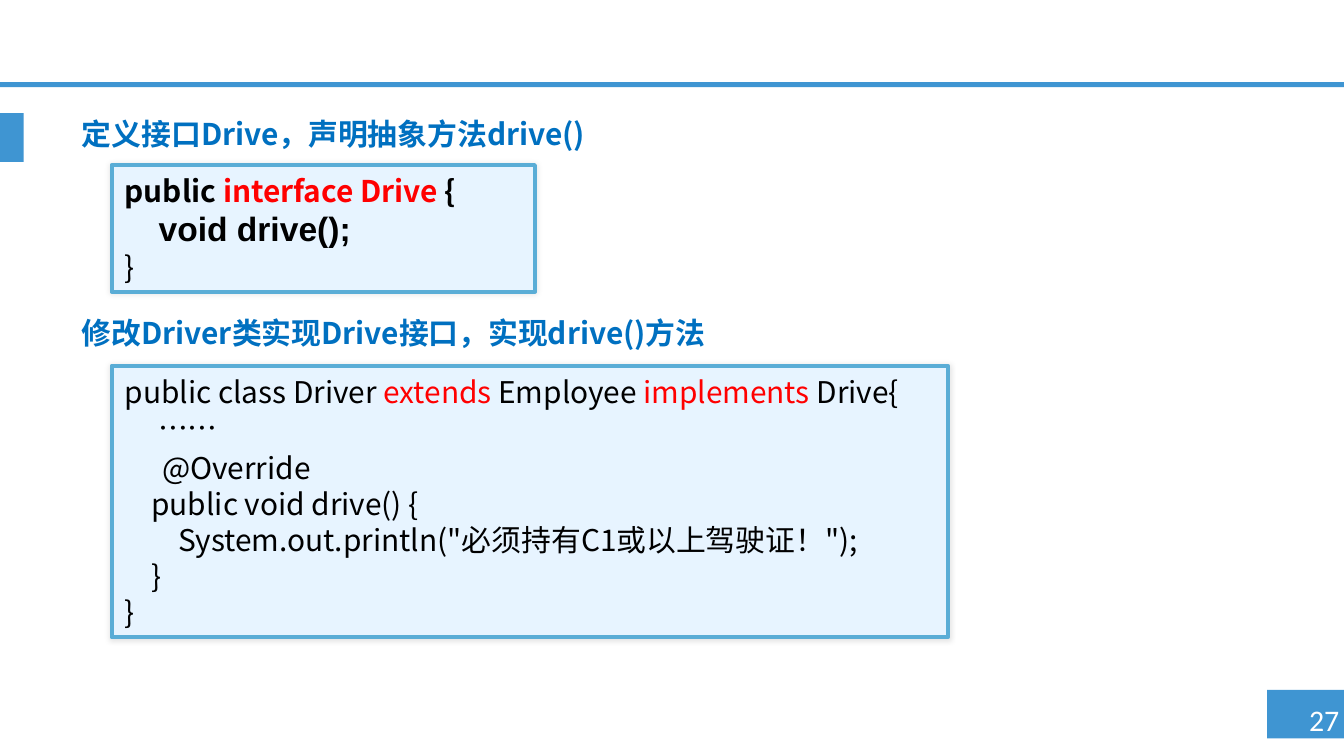
from lxml.etree import SubElement
from pptx import Presentation
from pptx.dml.color import RGBColor
from pptx.enum.shapes import MSO_SHAPE
from pptx.enum.text import MSO_ANCHOR, PP_ALIGN
from pptx.oxml import parse_xml
from pptx.oxml.ns import nsdecls, qn
from pptx.util import Cm, Pt

SANS = "Noto Sans CJK SC"
BLUE, HEADING, RED, BLACK = "3F95D2", "0070C0", "FF0000", "000000"


def rgb(value):
    return RGBColor.from_string(value)


def add_span(para, text, color, size=16, name=SANS, bold=False):
    span = para.add_run()
    span.text = text
    for key, value in {"name": name, "size": Pt(size), "bold": bold}.items():
        setattr(span.font, key, value)
    span.font.color.rgb = rgb(color)
    SubElement(span.font._element, qn("a:ea")).set("typeface", name)


deck = Presentation()
deck.slide_width, deck.slide_height = Cm(25.4), Cm(14.28)
page = deck.slides.add_slide(deck.slide_layouts[6])

bars = [
    (23.95, 13.03, 1.45, 0.92),
    (0, 1.55, 25.4, 0.1),
    (0, 2.14, 0.45, 0.92),
]
for bar in bars:
    shape = page.shapes.add_shape(MSO_SHAPE.RECTANGLE, *map(Cm, bar))
    shape.shadow.inherit = False
    shape.fill.solid()
    shape.fill.fore_color.rgb = rgb(BLUE)
    shape.line.fill.background()

number = page.shapes.add_textbox(Cm(24.43), Cm(13.13), Cm(1.32), Cm(0.94))
number.text_frame.word_wrap = False
para = number.text_frame.paragraphs[0]
para.alignment = PP_ALIGN.CENTER
add_span(para, "27 ", "FFFFFF", name="Calibri")

headings = [
    (2.14, "定义接口Drive，声明抽象方法drive()"),
    (5.9, "修改Driver类实现Drive接口，实现drive()方法"),
]
for top, text in headings:
    box = page.shapes.add_textbox(Cm(1.3), Cm(top), Cm(20.8), Cm(1))
    box.text_frame.word_wrap = True
    para = box.text_frame.paragraphs[0]
    para.line_spacing = 0.9
    add_span(para, text, HEADING, bold=True)

bold = {"bold": True}
arial = {"size": 18, "name": "Arial"}
code_boxes = [
    ((2.11, 3.12, 8, 2.39), [
        [("public ", BLACK, bold), ("interface Drive", RED, bold), (" {", BLACK, bold)],
        [("     ", BLACK, bold), ("void drive();", BLACK, {**arial, **bold})],
        [("}", BLACK, {})],
    ]),
    ((2.11, 6.91, 15.8, 5.13), [
        [("public class Driver ", BLACK, {}), ("extends", RED, {}),
         (" Employee ", BLACK, {}), ("implements", RED, {}), (" Drive{", BLACK, {})],
        [("     ……", BLACK, {})],
        [("    ", BLACK, arial), ("@Override", BLACK, {})],
        [("    public void drive() {", BLACK, {})],
        [('        System.out.println("必须持有C1或以上驾驶证！");', BLACK, {})],
        [("    }", BLACK, {})],
        [("}", BLACK, {})],
    ]),
]
for place, lines in code_boxes:
    box = page.shapes.add_shape(MSO_SHAPE.ROUNDED_RECTANGLE, *map(Cm, place))
    box.adjustments[0] = 0
    box.fill.solid()
    box.fill.fore_color.rgb = rgb("E7F4FF")
    box.line.color.rgb = rgb("5AADD6")
    box.line.width = Pt(2.25)
    box._element.spPr.append(parse_xml(
        f'<a:effectLst {nsdecls("a")}><a:outerShdw blurRad="{Pt(3)}" dist="0" dir="0">'
        '<a:srgbClr val="000000"><a:alpha val="10000"/></a:srgbClr>'
        '</a:outerShdw></a:effectLst>'))
    frame = box.text_frame
    frame.word_wrap = True
    frame.vertical_anchor = MSO_ANCHOR.MIDDLE
    for index, line in enumerate(lines):
        para = frame.add_paragraph() if index else frame.paragraphs[0]
        para.alignment = PP_ALIGN.LEFT
        for text, color, style in line:
            add_span(para, text, color, **style)

deck.save("out.pptx")
